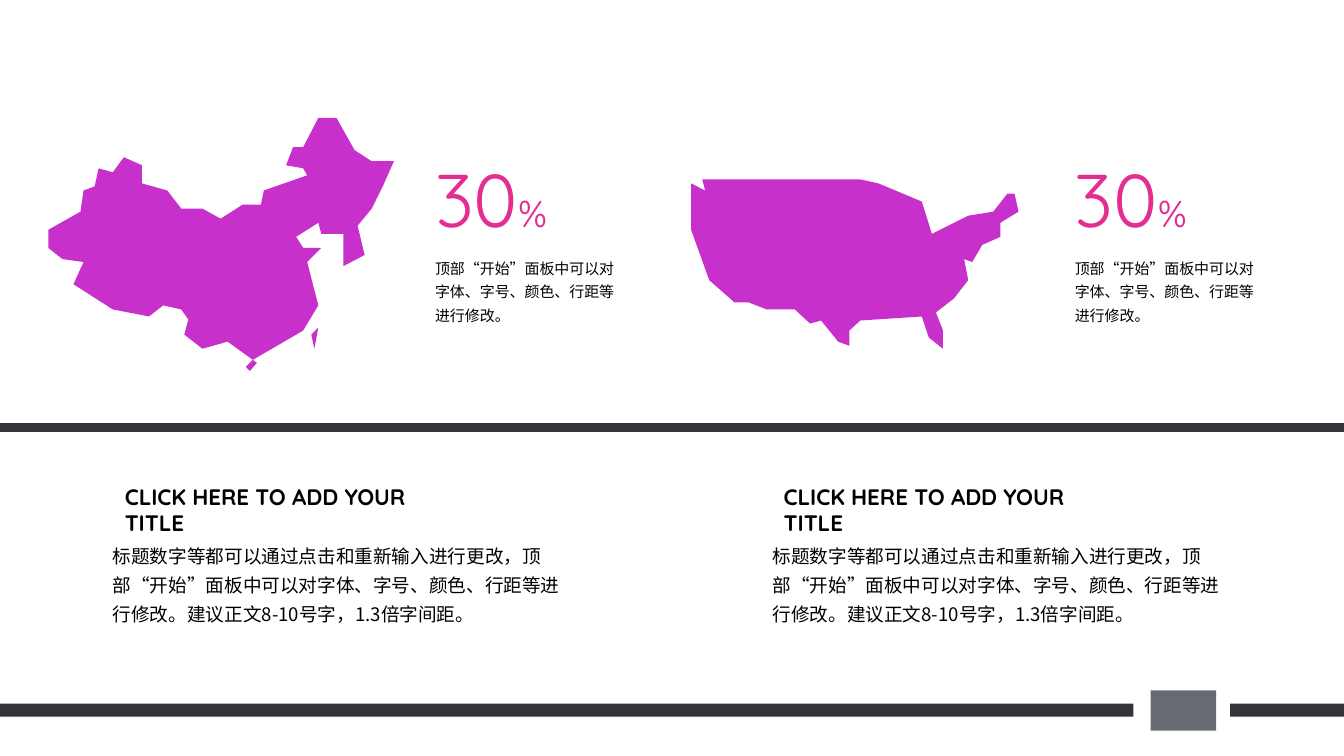
from pptx import Presentation
from pptx.dml.color import RGBColor
from pptx.enum.shapes import MSO_CONNECTOR, MSO_SHAPE
from pptx.enum.text import MSO_ANCHOR, PP_ALIGN
from pptx.oxml.ns import qn
from pptx.util import Inches, Pt

# Content
PERCENT = [("30", 53.3), ("%", 26.7)]
NOTE = "顶部“开始”面板中可以对字体、字号、颜色、行距等进行修改。"
HEADING = "CLICK HERE TO ADD YOUR TITLE"
BODY = ("标题数字等都可以通过点击和重新输入进行更改，顶部“开始”面板中可以对字体、字号、"
        "颜色、行距等进行修改。建议正文8-10号字，1.3倍字间距。")

LATIN, CJK = "Quicksand", "Noto Sans CJK SC"
DARK, GREY, PURPLE, PINK, BLACK = "343539", "676A73", "C830CC", "E32D91", "000000"
SLIDE_WIDTH, SLIDE_HEIGHT = 13.34, 7.5

# Left edges of the two columns: percentage, heading, body
COLUMNS = [(4.22, 1.14, 1.02), (10.57, 7.68, 7.57)]

# Footer blocks: left, top, width, height, colour
FOOTER = [
    (0, 6.98, 11.25, 0.13, DARK),
    (12.21, 6.98, 1.13, 0.13, DARK),
    (11.42, 6.85, 0.65, 0.4, GREY),
]

# Map outlines, in hundredths of an inch
HAINAN = [(244, 364), (251, 357), (255, 360), (248, 368)]
TAIWAN = [(309, 332), (316, 325), (312, 346)]
CHINA = [
    (380, 185), (391, 160), (369, 160), (352, 149), (334, 117), (316, 117),
    (301, 146), (291, 146), (284, 164), (301, 167), (305, 174), (262, 189),
    (259, 203), (241, 203), (219, 217), (201, 207), (180, 207), (166, 189),
    (141, 182), (141, 164), (123, 156), (112, 171), (98, 167), (94, 185),
    (83, 189), (80, 210), (48, 228), (48, 246), (62, 257), (83, 260),
    (73, 282), (112, 307), (148, 314), (162, 303), (180, 307), (187, 317),
    (183, 332), (201, 346), (226, 339), (251, 357), (301, 328), (316, 303),
    (305, 260), (319, 246), (301, 246), (294, 235), (316, 221), (319, 232),
    (341, 232), (341, 264), (362, 253), (355, 224), (369, 207),
]
USA = [
    (743, 300), (761, 307), (789, 307), (804, 321), (815, 318), (832, 339),
    (843, 343), (843, 328), (854, 318), (915, 314), (922, 335), (936, 346),
    (936, 328), (929, 310), (947, 296), (961, 278), (957, 257), (965, 260),
    (975, 243), (993, 235), (993, 221), (1011, 210), (1007, 192), (1000, 192),
    (986, 210), (961, 214), (925, 232), (915, 200), (872, 182), (854, 178),
    (697, 178), (700, 189), (686, 182), (686, 228), (704, 278), (729, 300),
]


def color(value):
    return RGBColor.from_string(value)


def paint(shape, fill):
    shape.shadow.inherit = False
    shape.fill.solid()
    shape.fill.fore_color.rgb = color(fill)
    shape.line.fill.background()


def add_block(slide, left, top, width, height, fill):
    shape = slide.shapes.add_shape(MSO_SHAPE.RECTANGLE, Inches(left), Inches(top),
                                   Inches(width), Inches(height))
    paint(shape, fill)


def add_outline(slide, points):
    builder = slide.shapes.build_freeform(*points[0], scale=Inches(0.01))
    builder.add_line_segments(points[1:], close=True)
    paint(builder.convert_to_shape(), PURPLE)


def add_text(slide, box, runs, font, fill, bold=False, line_height=None):
    shape = slide.shapes.add_textbox(*(Inches(value) for value in box))
    frame = shape.text_frame
    frame.word_wrap = True
    frame.vertical_anchor = MSO_ANCHOR.TOP
    paragraph = frame.paragraphs[0]
    paragraph.alignment = PP_ALIGN.LEFT
    if line_height:
        paragraph.line_spacing = Pt(line_height)
    for text, size in runs:
        run = paragraph.add_run()
        run.text = text
        run.font.size = Pt(size)
        run.font.bold = bold
        run.font.color.rgb = color(fill)
        run.font.name = font
        east_asian = run.font._element.makeelement(qn("a:ea"), {"typeface": font})
        run.font._element.append(east_asian)


def add_divider(slide, top):
    line = slide.shapes.add_connector(MSO_CONNECTOR.STRAIGHT, 0, Inches(top),
                                      Inches(SLIDE_WIDTH), Inches(top))
    line.line.color.rgb = color(DARK)
    line.line.width = Pt(6)
    properties = line._element.spPr
    properties.append(properties.makeelement(qn("a:effectLst"), {}))


def main():
    presentation = Presentation()
    presentation.slide_width = Inches(SLIDE_WIDTH)
    presentation.slide_height = Inches(SLIDE_HEIGHT)
    slide = presentation.slides.add_slide(presentation.slide_layouts[6])

    # Footer and maps
    for block in FOOTER:
        add_block(slide, *block)
    for points in (HAINAN, TAIWAN, CHINA, USA):
        add_outline(slide, points)

    # Divider and the two text columns
    add_divider(slide, 4.24)
    for percent_left, heading_left, body_left in COLUMNS:
        add_text(slide, (percent_left, 1.47, 1.81, 1), PERCENT, LATIN, PINK)
        add_text(slide, (percent_left, 2.47, 2.03, 0.8), [(NOTE, 10.7)], CJK, BLACK,
                 line_height=16.8)
        add_text(slide, (heading_left, 4.74, 3.52, 0.37), [(HEADING, 16)], LATIN, BLACK,
                 bold=True)
        add_text(slide, (body_left, 5.29, 4.71, 0.98), [(BODY, 13.3)], CJK, BLACK,
                 line_height=20.8)

    presentation.save("out.pptx")


if __name__ == "__main__":
    main()
